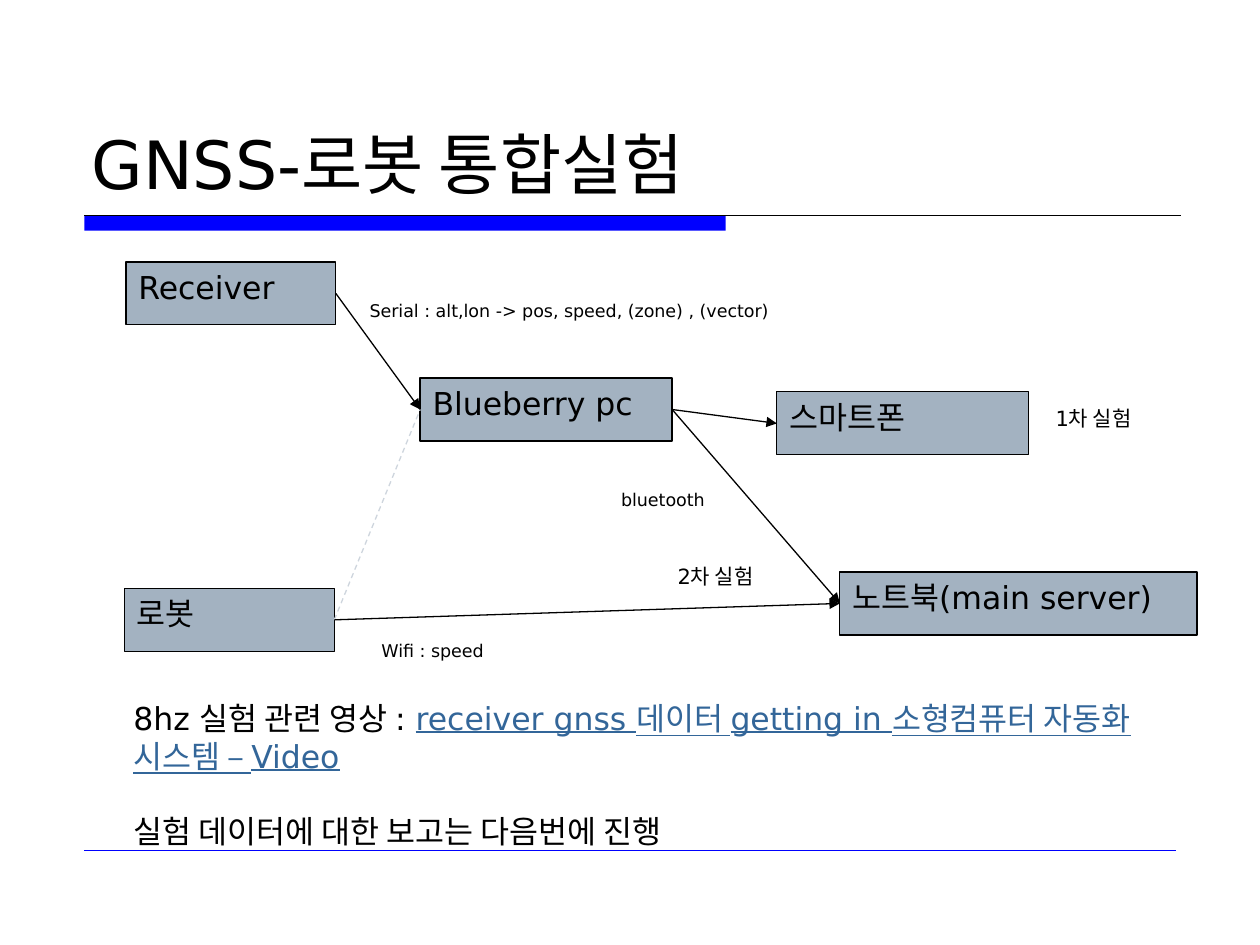
from typing import NamedTuple

from lxml import etree
from pptx import Presentation
from pptx import util as u
from pptx.dml.color import RGBColor
from pptx.enum import dml, shapes, text
from pptx.oxml.ns import qn

FONT = "DejaVu Sans"
BLACK, BLUE, LINK = "000000", "0000FF", "336699"
BOX_FILL, FAINT = "A3B2C1", "CED5DD"
RIGHT, LEFT = 3, 1


class Box(NamedTuple):
    name: str
    words: str
    x: float
    y: float
    w: float


class Label(NamedTuple):
    words: str
    x: float
    y: float
    w: float
    h: float
    size: int


class Link(NamedTuple):
    start: str
    end: str
    color: str = BLACK
    dashed: bool = False


BOXES = [
    Box("gnss", "Receiver", 2.54, 5.28, 4.23),
    Box("board", "Blueberry pc", 8.47, 7.62, 5.08),
    Box("robot", "로봇", 2.51, 11.86, 4.23),
    Box("laptop", "노트북(main server)", 16.93, 11.53, 7.2),
    Box("phone", "스마트폰", 15.66, 7.9, 5.08),
]
LINKS = [
    Link("gnss", "board"),
    Link("robot", "board", FAINT, True),
    Link("robot", "laptop"),
    Link("board", "phone"),
    Link("board", "laptop"),
]
LABELS = [
    Label("Serial : alt,lon -> pos, speed, (zone) , (vector)", 7.2, 5.93, 13.55, 0.69, 10),
    Label("Wifi : speed", 7.44, 12.78, 5.46, 0.69, 10),
    Label("bluetooth", 12.27, 9.73, 5.46, 0.69, 10),
    Label("1차 실험", 21.03, 8.05, 2.39, 0.76, 12),
    Label("2차 실험", 13.41, 11.23, 2.39, 0.76, 12),
]


def rgb(color: str) -> RGBColor:
    return RGBColor.from_string(color)


def add_run(p, words: str, size: int, color: str = BLACK, underline: bool = False) -> None:
    r = p.add_run()
    r.text = words
    style = {"name": FONT, "size": u.Pt(size), "underline": underline}
    for key, value in style.items():
        setattr(r.font, key, value)
    r.font.color.rgb = rgb(color)


def add_rect(slide, x: float, y: float, w: float, h: float, fill: str):
    sp = slide.shapes.add_shape(shapes.MSO_SHAPE.RECTANGLE, u.Cm(x), u.Cm(y), u.Cm(w), u.Cm(h))
    sp.shadow.inherit = False
    sp.fill.solid()
    sp.fill.fore_color.rgb = rgb(fill)
    return sp


def add_box(slide, box: Box):
    sp = add_rect(slide, box.x, box.y, box.w, 1.27, BOX_FILL)
    sp.line.color.rgb = rgb(BLACK)
    sp.line.width = u.Pt(0.75)
    sp.text_frame.vertical_anchor = text.MSO_ANCHOR.TOP
    p = sp.text_frame.paragraphs[0]
    p.alignment = text.PP_ALIGN.LEFT
    add_run(p, box.words, 18)
    return sp


def add_text(slide, x: float, y: float, w: float, h: float, anchor=text.MSO_ANCHOR.TOP):
    tf = slide.shapes.add_textbox(u.Cm(x), u.Cm(y), u.Cm(w), u.Cm(h)).text_frame
    tf.word_wrap = True
    tf.vertical_anchor = anchor
    return tf


def add_line(slide, x1: float, y1: float, x2: float, y2: float, color: str, width: float):
    ln = slide.shapes.add_connector(
        shapes.MSO_CONNECTOR.STRAIGHT, u.Cm(x1), u.Cm(y1), u.Cm(x2), u.Cm(y2))
    ln.line.color.rgb = rgb(color)
    ln.line.width = u.Pt(width)
    etree.SubElement(ln._element.spPr, qn("a:effectLst"))
    return ln


def add_link(slide, link: Link, nodes: dict) -> None:
    ln = add_line(slide, 0, 0, 1, 1, link.color, 0.75)
    ln.begin_connect(nodes[link.start], RIGHT)
    ln.end_connect(nodes[link.end], LEFT)
    if link.dashed:
        ln.line.dash_style = dml.MSO_LINE.DASH
    else:
        etree.SubElement(ln.line._get_or_add_ln(), qn("a:tailEnd"), type="triangle")


def main() -> None:
    prs = Presentation()
    prs.slide_width, prs.slide_height = u.Cm(25.4), u.Cm(19.05)
    slide = prs.slides.add_slide(prs.slide_layouts[6])

    add_rect(slide, 1.7, 4.34, 12.93, 0.31, BLUE).line.fill.background()
    add_line(slide, 1.7, 4.34, 23.8, 4.34, BLACK, 0.75)
    add_line(slide, 1.7, 17.15, 23.7, 17.15, BLUE, 0.25)
    tf = add_text(slide, 1.6, 0.84, 22.23, 3.38, text.MSO_ANCHOR.BOTTOM)
    add_run(tf.paragraphs[0], "GNSS-로봇 통합실험", 38)

    nodes = {box.name: add_box(slide, box) for box in BOXES}
    for link in LINKS:
        add_link(slide, link, nodes)
    for label in LABELS:
        tf = add_text(slide, label.x, label.y, label.w, label.h)
        add_run(tf.paragraphs[0], label.words, label.size)

    tf = add_text(slide, 2.44, 13.97, 20.96, 3.33)
    p = tf.paragraphs[0]
    add_run(p, "8hz 실험 관련 영상 : ", 18)
    add_run(p, "receiver gnss 데이터 getting in 소형컴퓨터 자동화 시스템 – Video", 18, LINK, True)
    p = tf.add_paragraph()
    p.space_before = u.Pt(21)
    add_run(p, "실험 데이터에 대한 보고는 다음번에 진행", 18)

    prs.save("out.pptx")


if __name__ == "__main__":
    main()
